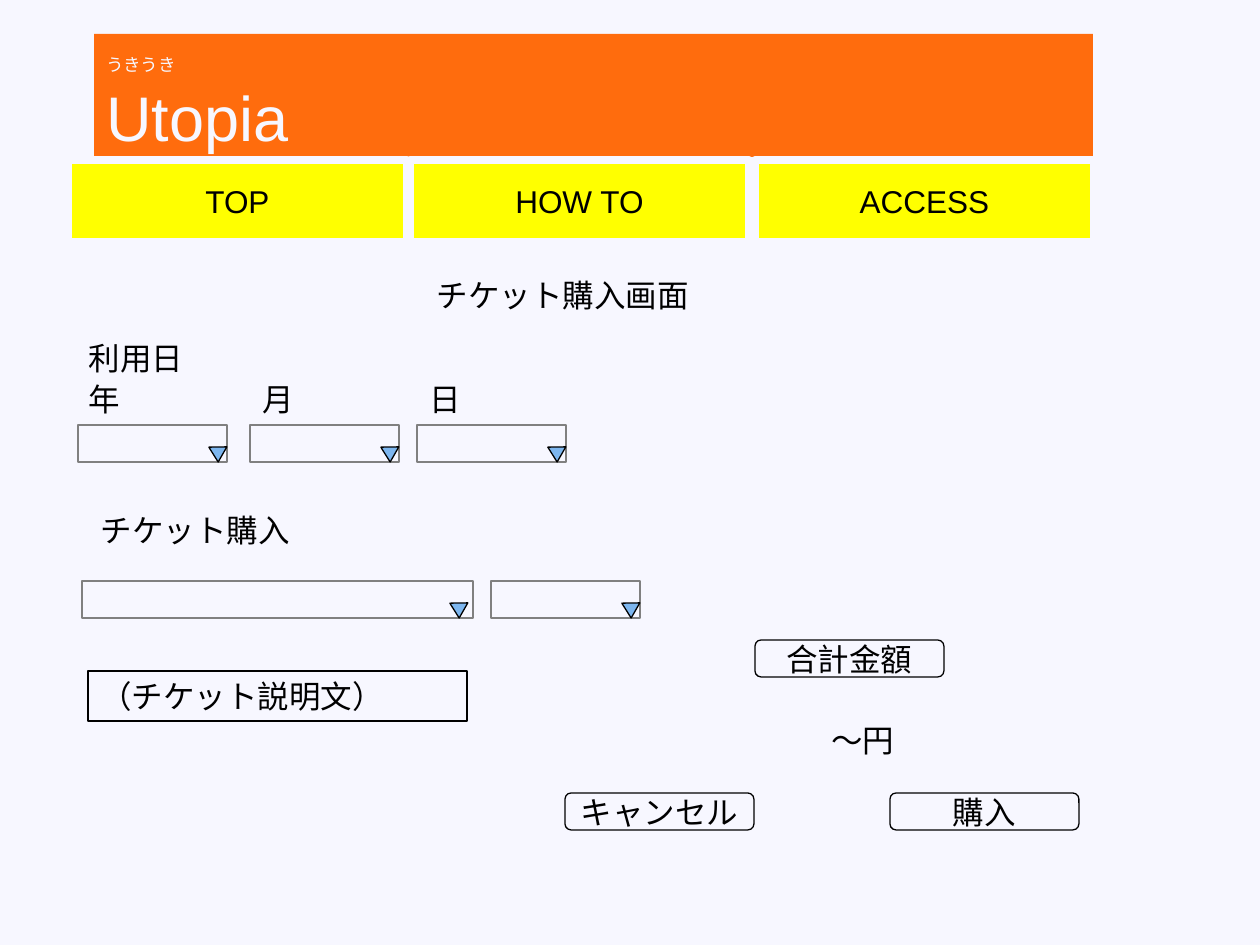
"""Build the ticket purchase screen slide."""
from pptx import Presentation
from pptx.dml.color import RGBColor
from pptx.enum.shapes import MSO_SHAPE as Shape
from pptx.enum.text import MSO_ANCHOR as Anchor, PP_ALIGN as Align
from pptx.util import Emu, Pt

PX_PER_INCH = 126
COLORS = {
    "page": "F7F7FF",
    "header": "FF6C0D",
    "nav": "FFFF00",
    "ink": "000000",
    "field": "808080",
    "arrow": "7DB6EF",
}


def px(length):
    return Emu(round(length * 914400 / PX_PER_INCH))


def color(name):
    return RGBColor.from_string(COLORS[name])


def add_span(para, text, size=18, ink="ink"):
    span = para.add_run()
    span.text = text
    span.font.size = Pt(size)
    span.font.name = "Arial"
    span.font.color.rgb = color(ink)


def add_box(page, kind, area, fill=None, line=None, weight=0.75):
    box = page.shapes.add_shape(kind, *map(px, area))
    box.shadow.inherit = False
    if fill:
        box.fill.solid()
        box.fill.fore_color.rgb = color(fill)
    else:
        box.fill.background()
    if line:
        box.line.color.rgb = color(line)
        box.line.width = Pt(weight)
    else:
        box.line.fill.background()
    return box


def write(box, text, align=Align.LEFT, anchor=Anchor.MIDDLE):
    frame = box.text_frame
    frame.word_wrap = True
    frame.vertical_anchor = anchor
    para = frame.paragraphs[0]
    para.alignment = align
    add_span(para, text)


def add_label(page, text, left, top, width, height=50, indent=0, anchor=Anchor.TOP):
    label = page.shapes.add_textbox(*map(px, (left, top, width, height)))
    label.text_frame.margin_left = px(13 + indent)
    write(label, text, anchor=anchor)


def add_header(page):
    header = add_box(page, Shape.RECTANGLE, (94, 34, 999, 126), "header")
    frame = header.text_frame
    frame.word_wrap = True
    frame.vertical_anchor = Anchor.MIDDLE
    reading, name = frame.paragraphs[0], frame.add_paragraph()
    reading.alignment = name.alignment = Align.LEFT
    add_span(reading, "うきうき", 10, "page")
    add_span(reading, "　", 18, "page")
    add_span(name, "Utopia", 36, "page")


def add_tab(page, text, left):
    tab = add_box(page, Shape.RECTANGLE, (left, 160, 339, 82), "nav", "page", 4.5)
    write(tab, text, Align.CENTER)


def add_dropdown(page, left, top, width=149, arrow_gap=0):
    add_box(page, Shape.RECTANGLE, (left, top, width, 37), "page", "field")
    arrow_left = left + width - 18 - arrow_gap
    area = (arrow_left, top + 22, 18, 15)
    arrow = add_box(page, Shape.ISOSCELES_TRIANGLE, area, "arrow", "ink")
    arrow.rotation = 179


def add_button(page, text, left, top):
    area = (left, top, 189, 37)
    button = add_box(page, Shape.ROUNDED_RECTANGLE, area, "page", "ink")
    write(button, text, Align.CENTER)


def main():
    deck = Presentation()
    deck.slide_width, deck.slide_height = px(1260), px(945)
    page = deck.slides.add_slide(deck.slide_layouts[6])
    page.background.fill.solid()
    page.background.fill.fore_color.rgb = color("page")

    add_header(page)
    for text, left in (("TOP", 68), ("HOW TO", 410), ("ACCESS", 755)):
        add_tab(page, text, left)

    add_label(page, "チケット購入画面", 424, 270, 325)
    add_label(page, "利用日", 76, 333, 324)
    for text, label_left, left in (("年", 75, 78), ("月", 249, 250), ("日", 417, 417)):
        add_label(page, text, label_left, 374, 84)
        add_dropdown(page, left, 425)

    add_label(page, "チケット購入", 88, 505, 325)
    add_dropdown(page, 82, 581, 391, 5)
    add_dropdown(page, 491, 581)
    note = add_box(page, Shape.RECTANGLE, (88, 671, 379, 50), line="ink")
    write(note, "（チケット説明文）", anchor=Anchor.TOP)

    add_button(page, "合計金額", 755, 640)
    add_label(page, "～円", 755, 677, 324, 88, 63, Anchor.BOTTOM)
    add_button(page, "キャンセル", 565, 793)
    add_button(page, "購入", 890, 793)
    deck.save("out.pptx")


if __name__ == "__main__":
    main()
